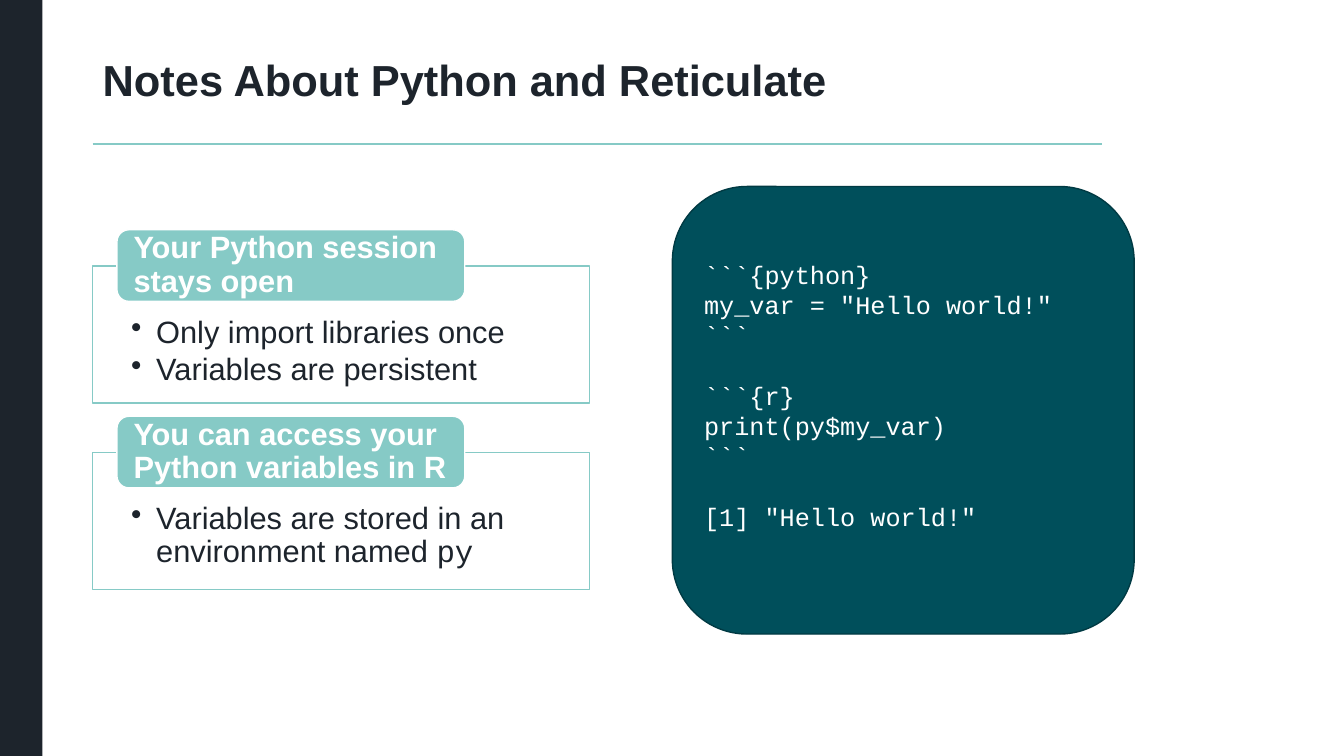
"""Build the slide of notes about Python and Reticulate."""
from lxml.etree import SubElement
from pptx import Presentation
from pptx.dml.color import RGBColor
from pptx.enum.shapes import MSO_CONNECTOR, MSO_SHAPE
from pptx.enum.text import MSO_ANCHOR, PP_ALIGN
from pptx.oxml.ns import qn
from pptx.util import Inches, Pt

THEME = {
    "ink": "1D242C", "mint": "86CAC6", "white": "FFFFFF",
    "teal": "004F5B", "deep_teal": "003A43",
    "sans": "Arial", "mono": "Courier New",
    "title": 31, "body": 22, "code": 18,
}
NOTES = [
    ("Your Python session stays open",
     [[("Only import libraries once", "sans")],
      [("Variables are persistent", "sans")]]),
    ("You can access your Python variables in R",
     [[("Variables are stored in an environment named ", "sans"), ("py", "mono")]]),
]
CODE_BLOCKS = [
    ["```{python}", 'my_var = "Hello world!"', "```"],
    ["```{r}", "print(py$my_var)", "```"],
    ['[1] "Hello world!"'],
]
CODE_LINE = 1.2 * THEME["code"]

presentation = Presentation()
presentation.slide_width, presentation.slide_height = Inches(13.33), Inches(7.5)
column, row = presentation.slide_width / 100, presentation.slide_height / 100
slide = presentation.slides.add_slide(presentation.slide_layouts[6])


def add_block(kind, left, top, width, height, fill=None, line=None, insets=(0.1, 0.05, 0.1, 0.05),
              anchor=MSO_ANCHOR.MIDDLE):
    """Add a shape placed in percent of the slide, with its text frame ready."""
    shape = slide.shapes.add_shape(kind, int(left * column), int(top * row),
                                   int(width * column), int(height * row))
    shape.shadow.inherit = False
    for part, color in ((shape.fill, fill), (shape.line.fill, line)):
        if color:
            part.solid()
            part.fore_color.rgb = RGBColor.from_string(THEME[color])
        else:
            part.background()
    if line:
        shape.line.width = Pt(1)
    frame = shape.text_frame
    sides = ("margin_left", "margin_top", "margin_right", "margin_bottom")
    settings = dict(zip(sides, map(Inches, insets)), word_wrap=True, vertical_anchor=anchor)
    for name, value in settings.items():
        setattr(frame, name, value)
    return frame


def write(frame, index, runs, size, color, bold=False, bullet=False, **spacing):
    """Write one paragraph of (text, font) runs."""
    paragraph = frame.add_paragraph() if index else frame.paragraphs[0]
    for name, value in {"alignment": PP_ALIGN.LEFT, **spacing}.items():
        setattr(paragraph, name, value)
    if bullet:
        properties = paragraph._p.get_or_add_pPr()
        properties.set("marL", str(Inches(0.25)))
        properties.set("indent", str(-Inches(0.25)))
        SubElement(properties, qn("a:buChar")).set("char", "•")
    for text, font in runs:
        run = paragraph.add_run()
        run.text = text
        for name, value in {"name": THEME[font], "size": Pt(THEME[size]), "bold": bold}.items():
            setattr(run.font, name, value)
        run.font.color.rgb = RGBColor.from_string(THEME[color])


add_block(MSO_SHAPE.RECTANGLE, 0, 0, 3.15, 100, "ink")
rule = slide.shapes.add_connector(MSO_CONNECTOR.STRAIGHT, int(6.9 * column), int(19.07 * row),
                                  int(82 * column), int(19.07 * row))
rule.line.color.rgb = RGBColor.from_string(THEME["mint"])
rule.line.width = Pt(1)
SubElement(rule._element.spPr, qn("a:effectLst"))

title = add_block(MSO_SHAPE.RECTANGLE, 6.9, 7.07, 74.04, 7.73)
write(title, 0, [("Notes About Python and Reticulate", "sans")], "title", "ink", bold=True,
      line_spacing=0.9)

for position, (heading, points) in enumerate(NOTES):
    top = 35.2 + 24.67 * position
    panel = add_block(MSO_SHAPE.RECTANGLE, 6.9, top, 36.98, 18.13, "white", "mint",
                      (0.38, 0.5, 0.38, 0.17), MSO_ANCHOR.TOP)
    for index, runs in enumerate(points):
        write(panel, index, runs, "body", "ink", bullet=True, line_spacing=0.9,
              space_after=Pt(3.3))
    label = add_block(MSO_SHAPE.ROUNDED_RECTANGLE, 8.7, top - 4.8, 25.88, 9.47, "mint", "white",
                      (0.13, 0, 0.13, 0))
    write(label, 0, [(heading, "sans")], "body", "white", bold=True, line_spacing=0.9)

code = add_block(MSO_SHAPE.ROUNDED_RECTANGLE, 50.03, 24.67, 34.36, 59.2, "teal", "deep_teal",
                 (0.1, 0.05, 0.1, 0.35))
for block_index, block in enumerate(CODE_BLOCKS):
    for line_index, text in enumerate(block):
        starts_block = block_index > 0 and line_index == 0
        write(code, block_index + line_index, [(text, "mono")], "code", "white",
              space_before=Pt(CODE_LINE if starts_block else 0))

presentation.save("out.pptx")
